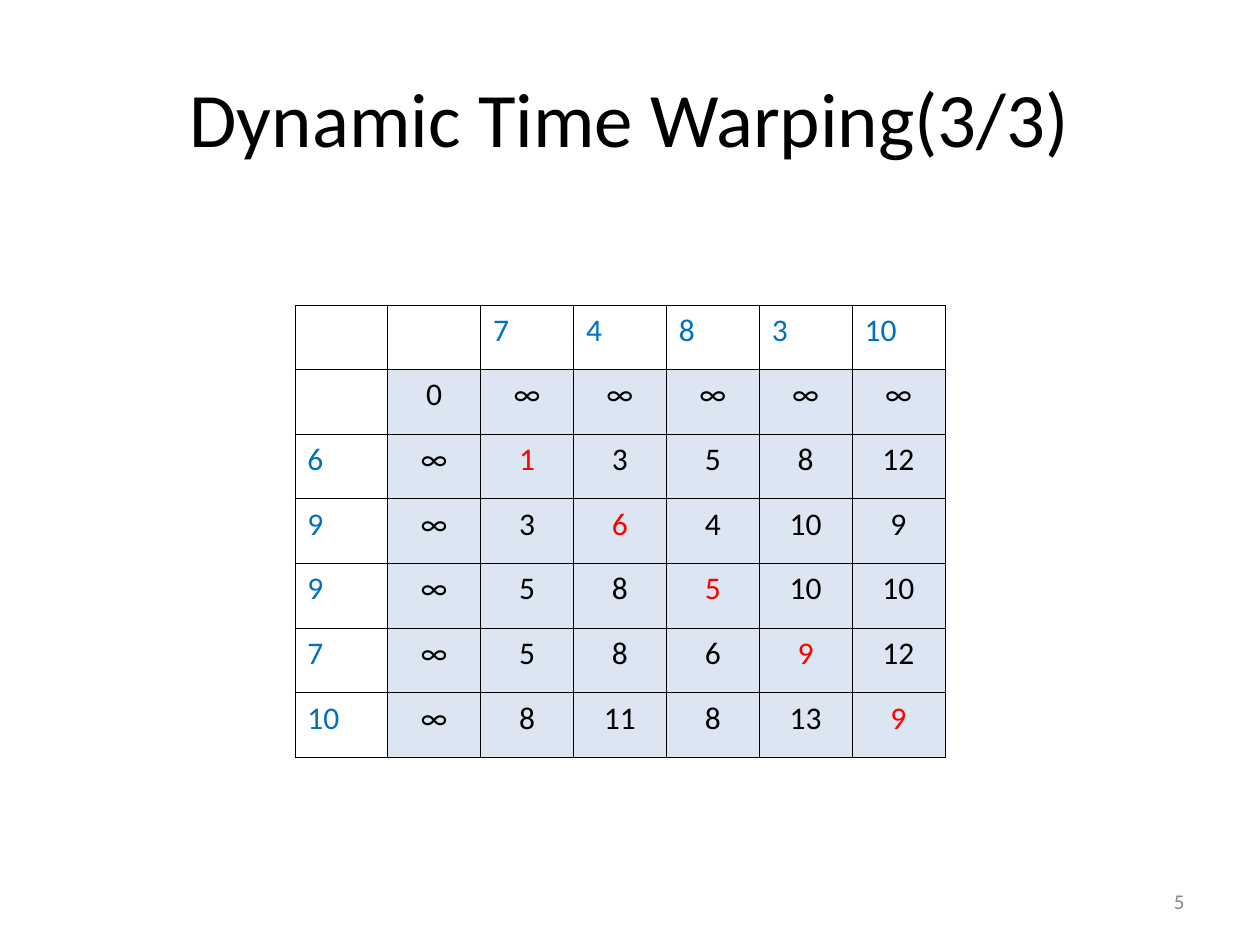
from dataclasses import dataclass

from lxml.etree import SubElement
from pptx import Presentation
from pptx.dml.color import RGBColor
from pptx.enum.text import MSO_ANCHOR as Anchor, PP_ALIGN as Align
from pptx.oxml.ns import qn
from pptx.util import Pt

FONT = "Calibri"
BLACK, BLUE, RED, GRAY = "000000", "0070C0", "FF0000", "898989"
COST_FILL = "DCE6F2"
CELL_WIDTH, CELL_HEIGHT = 53.08, 36.95
BORDER_WIDTH = 0.45

# Header row and column hold the two series; the rest is accumulated cost
WARPING_MATRIX = [
    ["", "", "7", "4", "8", "3", "10"],
    ["", "0", "∞", "∞", "∞", "∞", "∞"],
    ["6", "∞", "1", "3", "5", "8", "12"],
    ["9", "∞", "3", "6", "4", "10", "9"],
    ["9", "∞", "5", "8", "5", "10", "10"],
    ["7", "∞", "5", "8", "6", "9", "12"],
    ["10", "∞", "8", "11", "8", "13", "9"],
]


@dataclass
class Label:
    text: str
    left: float
    top: float
    width: float
    height: float
    size: float
    color: str
    align: Align


LABELS = [
    Label("Dynamic Time Warping(3/3)", 36, 21.6, 648, 90, 44, BLACK, Align.CENTER),
    Label("5", 516, 500.4, 168, 28.8, 12, GRAY, Align.RIGHT),
]


def rgb(color: str) -> RGBColor:
    return RGBColor.from_string(color)


def write_text(frame, text: str, *, size: float, color: str, align: Align) -> None:
    paragraph = frame.paragraphs[0]
    paragraph.alignment = align
    run = paragraph.add_run()
    run.text = text
    run.font.name = FONT
    run.font.size = Pt(size)
    run.font.color.rgb = rgb(color)


def add_label(slide, label: Label) -> None:
    box = slide.shapes.add_textbox(
        Pt(label.left), Pt(label.top), Pt(label.width), Pt(label.height))
    frame = box.text_frame
    frame.word_wrap = True
    frame.vertical_anchor = Anchor.MIDDLE
    write_text(frame, label.text, size=label.size, color=label.color, align=label.align)


def add_borders(cell) -> None:
    properties = cell._tc.get_or_add_tcPr()
    for side in ("lnL", "lnR", "lnT", "lnB"):
        line = SubElement(properties, qn(f"a:{side}"), w=str(Pt(BORDER_WIDTH)))
        fill = SubElement(line, qn("a:solidFill"))
        SubElement(fill, qn("a:srgbClr"), val=BLACK)


def add_matrix(slide, matrix: list[list[str]], left: float, top: float) -> None:
    rows, columns = len(matrix), len(matrix[0])
    table = slide.shapes.add_table(
        rows, columns, Pt(left), Pt(top),
        Pt(columns * CELL_WIDTH), Pt(rows * CELL_HEIGHT)).table
    table.first_row = table.horz_banding = False
    for column in table.columns:
        column.width = Pt(CELL_WIDTH)
    for row in table.rows:
        row.height = Pt(CELL_HEIGHT)

    for i, values in enumerate(matrix):
        for j, value in enumerate(values):
            cell = table.cell(i, j)
            add_borders(cell)
            if i == 0 or j == 0:
                cell.fill.background()
                color, align = BLUE, Align.LEFT
            else:
                cell.fill.solid()
                cell.fill.fore_color.rgb = rgb(COST_FILL)
                # The warping path runs down the diagonal
                color = RED if i == j > 1 else BLACK
                align = Align.CENTER
            if value:
                write_text(cell.text_frame, value, size=18, color=color, align=align)


def main() -> None:
    presentation = Presentation()
    presentation.slide_width, presentation.slide_height = Pt(720), Pt(540)
    slide = presentation.slides.add_slide(presentation.slide_layouts[6])

    # Title and slide number
    for label in LABELS:
        add_label(slide, label)

    # Cost matrix
    add_matrix(slide, WARPING_MATRIX, left=168.5, top=174.25)

    presentation.save("out.pptx")


if __name__ == "__main__":
    main()
